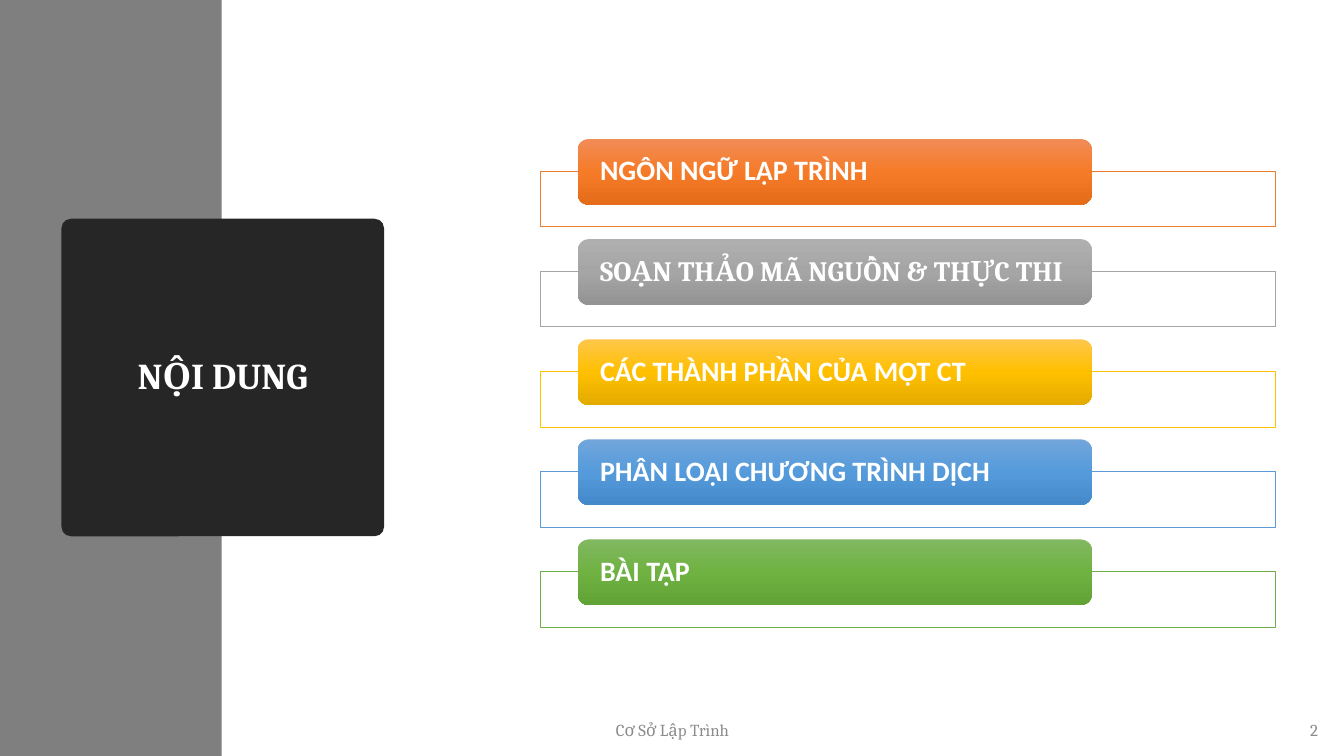
import pptx
import pptx.util
import pptx.dml.color
import pptx.enum.shapes
import pptx.enum.text
import pptx.oxml.ns
from lxml import etree
from pptx.util import Inches

SHAPE = pptx.enum.shapes.MSO_SHAPE
ALIGN = pptx.enum.text.PP_ALIGN
qn = pptx.oxml.ns.qn

TOPICS = [
    ("NGÔN NGỮ LẬP TRÌNH", "Calibri", "ED7D31", ("F18C57", "F67B28", "E56C19")),
    ("SOẠN THẢO MÃ NGUỒN & THỰC THI", "Cambria", "A5A5A5", ("AFAFAF", "A5A5A5", "939393")),
    ("CÁC THÀNH PHẦN CỦA MỘT CT", "Calibri", "FFC000", ("FFC64B", "FFC000", "E3AB00")),
    ("PHÂN LOẠI CHƯƠNG TRÌNH DỊCH", "Calibri", "5B9BD5", ("71A6DB", "559BDB", "448ACA")),
    ("BÀI TẬP", "Calibri", "70AD47", ("81B861", "6FB242", "62A336")),
]
FIRST_TOP = 1.38
PITCH = 0.993


def rgb(value):
    return pptx.dml.color.RGBColor.from_string(value)


def add_box(s, kind, left, top, width, height, fill=None):
    sp = s.shapes.add_shape(kind, Inches(left), Inches(top), Inches(width), Inches(height))
    sp.shadow.inherit = False
    sp.line.fill.background()
    if fill:
        sp.fill.solid()
        sp.fill.fore_color.rgb = rgb(fill)
    return sp


def write_text(sp, text, size, font, color, align, bold=False, spacing=None):
    tf = sp.text_frame
    tf.word_wrap = True
    tf.vertical_anchor = pptx.enum.text.MSO_ANCHOR.MIDDLE
    p = tf.paragraphs[0]
    p.alignment = align
    p.line_spacing = spacing
    r = p.add_run()
    r.text = text
    r.font.size = pptx.util.Pt(size)
    r.font.name = font
    r.font.bold = bold
    r.font.color.rgb = rgb(color)


def set_gradient(sp, colors):
    sp.fill.gradient()
    sp.fill.gradient_angle = 270
    stops = sp._element.spPr.find(".//" + qn("a:gsLst"))
    for stop in list(stops):
        stops.remove(stop)
    for i, color in enumerate(colors):
        stop = etree.SubElement(stops, qn("a:gs"), pos=str(i * 50000))
        etree.SubElement(stop, qn("a:srgbClr"), val=color)


def add_topic(s, top, text, font, line, gradient):
    frame = add_box(s, SHAPE.RECTANGLE, 5.36, top + 0.32, 7.29, 0.55, "FFFFFF")
    color = frame._element.spPr.find(qn("a:solidFill")).find(qn("a:srgbClr"))
    etree.SubElement(color, qn("a:alpha"), val="90000")
    frame.line.color.rgb = rgb(line)
    frame.line.width = pptx.util.Pt(0.5)

    bar = add_box(s, SHAPE.ROUNDED_RECTANGLE, 5.73, top, 5.1, 0.65)
    set_gradient(bar, gradient)
    tf = bar.text_frame
    tf.margin_left = tf.margin_right = Inches(0.19)
    tf.margin_top = tf.margin_bottom = 0
    write_text(bar, text, 20, font, "FFFFFF", ALIGN.LEFT, True, 0.9)


def add_footer(s, left, width, text, align):
    sp = s.shapes.add_textbox(Inches(left), Inches(7.04), Inches(width), Inches(0.4))
    write_text(sp, text, 12, "Cambria", "8C8C8C", align)


def main():
    prs = pptx.Presentation()
    prs.slide_width = Inches(13.33)
    prs.slide_height = Inches(7.5)
    s = prs.slides.add_slide(prs.slide_layouts[6])

    add_box(s, SHAPE.RECTANGLE, 0, 0, 2.2, 7.5, "7F7F7F")
    title = add_box(s, SHAPE.ROUNDED_RECTANGLE, 0.61, 2.17, 3.2, 3.15, "262626")
    title.adjustments[0] = 0.03
    write_text(title, "NỘI DUNG", 26, "Cambria", "FFFFFF", ALIGN.CENTER, True, 0.9)

    for i, topic in enumerate(TOPICS):
        add_topic(s, FIRST_TOP + i * PITCH, *topic)

    add_footer(s, 4.42, 4.5, "Cơ Sở Lập Trình", ALIGN.CENTER)
    add_footer(s, 10.17, 3, "2", ALIGN.RIGHT)
    prs.save("out.pptx")


if __name__ == "__main__":
    main()
